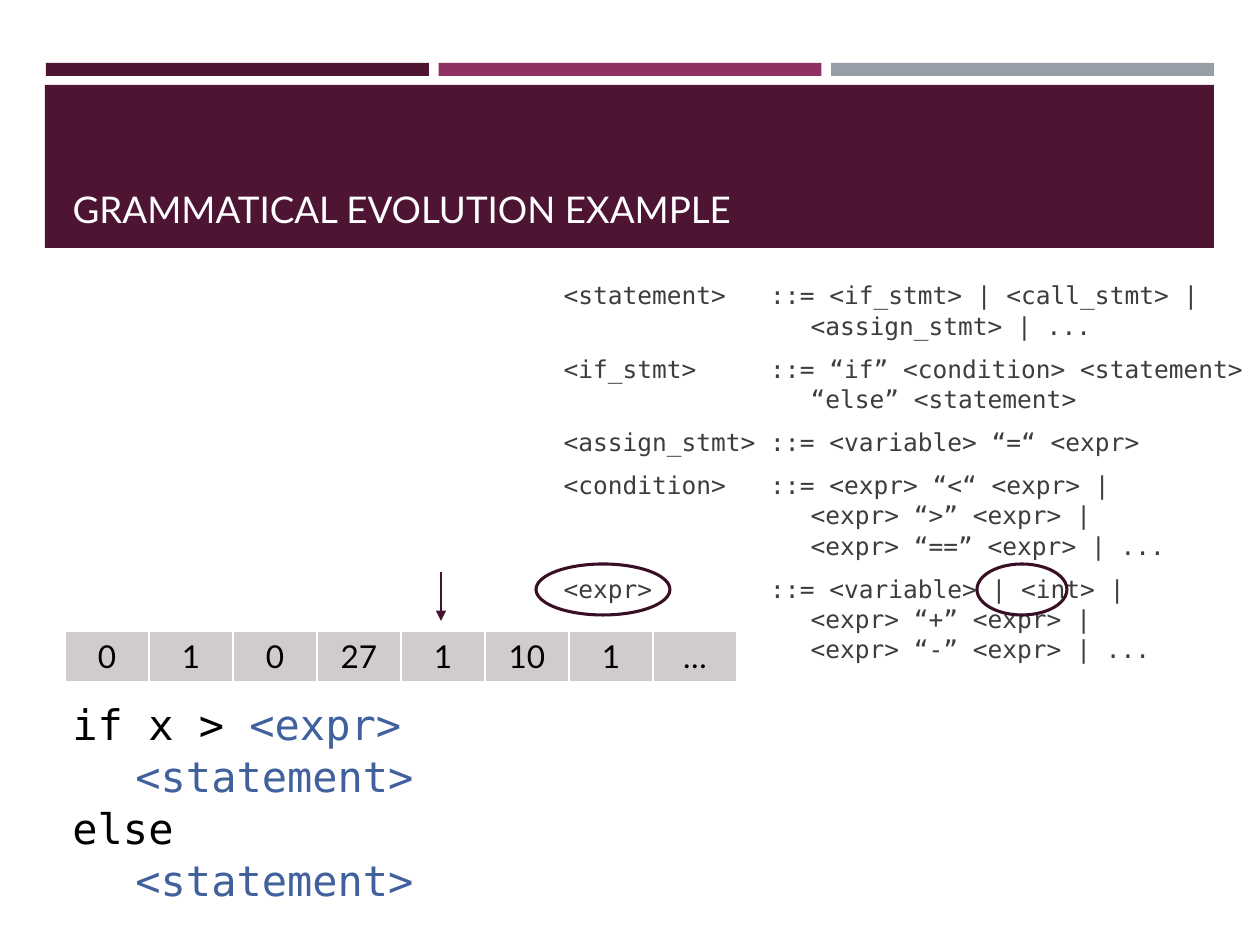
"""Build the slide on a grammatical evolution example."""
from lxml import etree
from pptx import Presentation
from pptx.dml.color import RGBColor
from pptx.enum.shapes import MSO_CONNECTOR, MSO_SHAPE
from pptx.enum.text import MSO_ANCHOR, MSO_AUTO_SIZE, PP_ALIGN
from pptx.oxml.ns import qn
from pptx.util import Pt

RECT, OVAL = MSO_SHAPE.RECTANGLE, MSO_SHAPE.OVAL
LINE = MSO_CONNECTOR.STRAIGHT
LEFT, CENTER = PP_ALIGN.LEFT, PP_ALIGN.CENTER
MIDDLE, BOTTOM = MSO_ANCHOR.MIDDLE, MSO_ANCHOR.BOTTOM
FIXED = MSO_AUTO_SIZE.NONE
MONO, SANS = "DejaVu Sans Mono", "Lato"
SPACING = 1.03
INK = {"plum": "4D1434", "rose": "903163", "steel": "969FA7",
       "white": "FFFFFF", "gray": "3D3D3D", "black": "000000",
       "blue": "40619D", "cell": "D0CCCE", "arrow": "45122F",
       "ring": "390F26"}


def px(*sizes):
    return [round(size * 914400 / 126) for size in sizes]


def write(para, text, font, size, color):
    run = para.add_run()
    run.text = text
    run.font.name, run.font.size = font, Pt(size)
    run.font.color.rgb = RGBColor.from_string(INK[color])


deck = Presentation()
deck.slide_width, deck.slide_height = px(1260, 945)
slide = deck.slides.add_slide(deck.slide_layouts[1])
shapes = slide.shapes
title, body = shapes.title, slide.placeholders[1]

bars = [(46 + 392.5 * i, 63, 383, 13, color)
        for i, color in enumerate(["plum", "rose", "steel"])]
for *box, color in bars + [(45, 85, 1169, 163, "plum")]:
    bar = shapes.add_shape(RECT, *px(*box))
    bar.shadow.inherit = False
    bar.fill.solid()
    bar.fill.fore_color.rgb = RGBColor.from_string(INK[color])
    bar.line.fill.background()
    shapes._spTree.insert(2 + len(shapes) - 3, bar._element)

title.left, title.top, title.width, title.height = px(60, 97, 1140, 140)
frame = title.text_frame
frame.auto_size, frame.vertical_anchor = FIXED, BOTTOM
frame.paragraphs[0].alignment = LEFT
write(frame.paragraphs[0], "GRAMMATICAL EVOLUTION EXAMPLE", SANS, 21, "white")

rules = [
    ("<statement>", ["<if_stmt> | <call_stmt> | <assign_stmt> | ..."]),
    ("<if_stmt>", ["“if” <condition> <statement> “else” <statement>"]),
    ("<assign_stmt>", ["<variable> “=“ <expr>"]),
    ("<condition>", ["<expr> “<“ <expr> |", "<expr> “>” <expr> |",
                     "<expr> “==” <expr> | ..."]),
    ("<expr>", ["<variable> | <int> |", "<expr> “+” <expr> |",
                "<expr> “-” <expr> | ..."]),
]
body.left, body.top, body.width, body.height = px(551, 252, 709, 439)
frame = body.text_frame
frame.auto_size, frame.vertical_anchor = FIXED, MIDDLE
frame.word_wrap = True
hang = px(247)[0]
for i, (name, lines) in enumerate(rules):
    para = frame.add_paragraph() if i else frame.paragraphs[0]
    para.line_spacing = SPACING
    para.space_before, para.space_after = Pt(2.8), Pt(4.5)
    props = para._p.get_or_add_pPr()
    props.set("marL", str(hang))
    props.set("indent", str(-hang))
    etree.SubElement(props, qn("a:buNone"))
    write(para, f"{name:<13} ::= {lines[0]}", MONO, 14, "gray")
    for line in lines[1:]:
        para.add_line_break()
        write(para, line, MONO, 14, "gray")

code = [("if x > ", "<expr>"), ("\t", "<statement>"),
        ("else", ""), ("\t", "<statement>")]
frame = shapes.add_textbox(*px(60, 691, 1140, 217)).text_frame
frame.word_wrap = True
for i, (plain, symbol) in enumerate(code):
    para = frame.add_paragraph() if i else frame.paragraphs[0]
    para.line_spacing = SPACING
    write(para, plain, MONO, 24, "black")
    if symbol:
        write(para, symbol, MONO, 24, "blue")

genes = ["0", "1", "0", "27", "1", "10", "1", "…"]
table = shapes.add_table(1, len(genes), *px(65, 631, 672, 51)).table
table.first_row = table.horz_banding = False
for cell, gene in zip(table.rows[0].cells, genes):
    props = cell._tc.get_or_add_tcPr()
    for side in ("lnL", "lnR", "lnT", "lnB"):
        edge = etree.SubElement(props, qn(f"a:{side}"), w=str(Pt(1)))
        fill = etree.SubElement(edge, qn("a:solidFill"))
        etree.SubElement(fill, qn("a:srgbClr"), val=INK["white"])
    cell.fill.solid()
    cell.fill.fore_color.rgb = RGBColor.from_string(INK["cell"])
    para = cell.text_frame.paragraphs[0]
    para.alignment = CENTER
    write(para, gene, SANS, 18, "black")

arrow = shapes.add_connector(LINE, *px(441, 572, 441, 621))
arrow.line.width = Pt(1)
arrow.line.color.rgb = RGBColor.from_string(INK["arrow"])
etree.SubElement(arrow.line._get_or_add_ln(), qn("a:tailEnd"), type="triangle")
etree.SubElement(arrow._element.spPr, qn("a:effectLst"))

for left, width in [(536, 134), (977, 90)]:
    ring = shapes.add_shape(OVAL, *px(left, 564, width, 51))
    ring.shadow.inherit = False
    ring.fill.background()
    ring.line.width = Pt(1.75)
    ring.line.color.rgb = RGBColor.from_string(INK["ring"])

deck.save("out.pptx")
